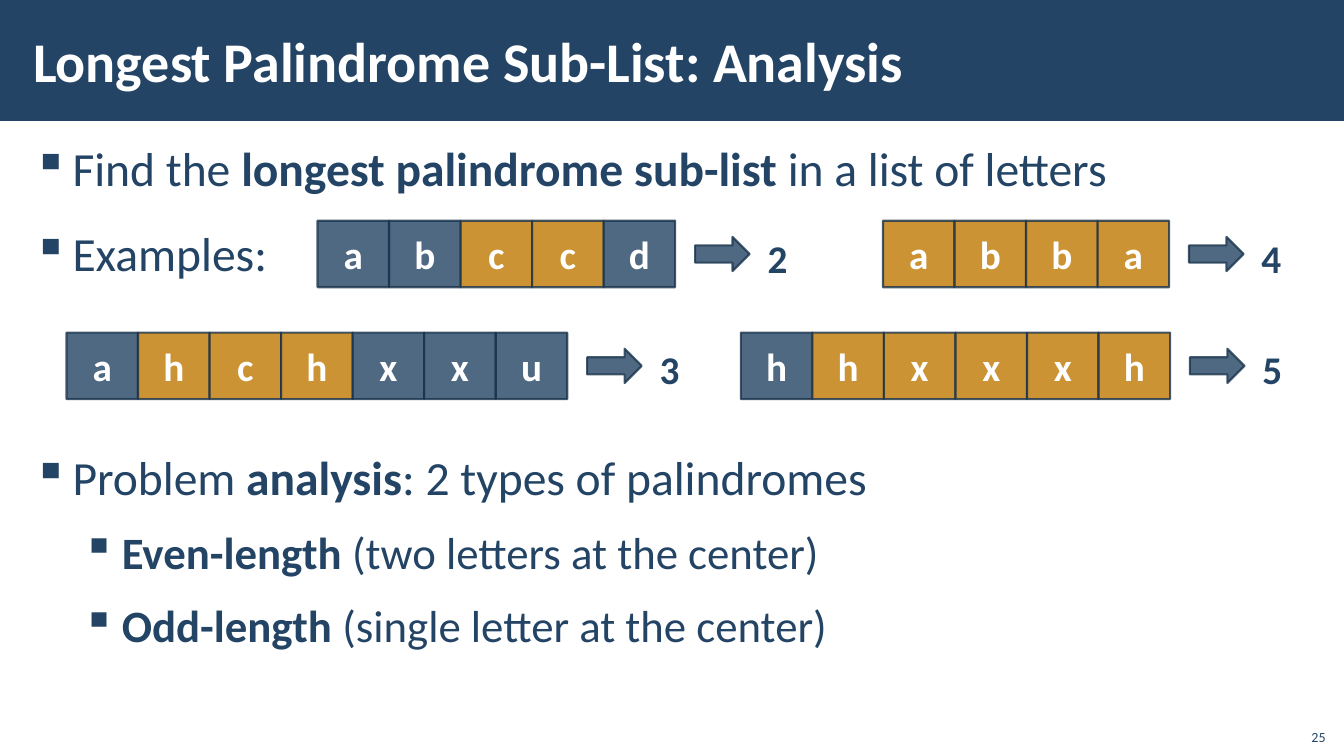
"""Build the slide on analysing the longest palindrome sub-list."""
from lxml import etree
from pptx import Presentation
from pptx import util as u
from pptx.dml import color
from pptx.enum import shapes, text
from pptx.oxml import ns

Pt = u.Pt
COLORS = {"navy": "234465", "edge": "1A334C", "gold": "BF7800", "white": "FFFFFF"}
FONT = "Calibri"
TITLE = "Longest Palindrome Sub-List: Analysis"
PAGE = "25"
# Bullets: level, size, space before, (text, bold) runs
BULLETS = [
    (0, 34, 6, [("Find the ", False), ("longest palindrome sub-list", True),
                (" in a list of letters", False)]),
    (0, 34, 12, [("Examples:", False)]),
    (0, 34, 111, [("Problem ", False), ("analysis", True),
                  (": 2 types of palindromes", False)]),
    (1, 32, 6, [("Even-length", True), (" (two letters at the center)", False)]),
    (1, 32, 6, [("Odd-length", True), (" (single letter at the center)", False)]),
]
# Examples: left, row, letters, palindrome start, palindrome length
EXAMPLES = [
    (226.8, 0, "abccd", 2, 2),
    (47.5, 1, "ahchxxu", 1, 3),
    (529.2, 1, "hhxxxh", 1, 5),
    (630.7, 0, "abba", 0, 4),
]
ROW_TOP, ROW_STEP = 157.7, 79.9
CELL_W, CELL_H = 51.1, 47.5
ARROW_W, ARROW_H, ARROW_GAP = 39, 24.5, 14.2
RESULT_W, RESULT_H, RESULT_GAP = 37.4, 52.6, 1.2
TOP, MIDDLE, BOTTOM = (text.MSO_ANCHOR.TOP, text.MSO_ANCHOR.MIDDLE,
                       text.MSO_ANCHOR.BOTTOM)


def rgb(name):
    return color.RGBColor.from_string(COLORS[name])


def set_all(obj, values):
    for key, value in values.items():
        setattr(obj, key, value)


def frame(sp, anchor, mx, my, wrap=True):
    tf = sp.text_frame
    set_all(tf, {"vertical_anchor": anchor, "word_wrap": wrap,
                 "auto_size": text.MSO_AUTO_SIZE.NONE,
                 "margin_left": Pt(mx), "margin_right": Pt(mx),
                 "margin_top": Pt(my), "margin_bottom": Pt(my)})
    return tf


def add_run(p, words, size, ink, bold=True):
    r = p.add_run()
    r.text = words
    set_all(r.font, {"name": FONT, "size": Pt(size), "bold": bold})
    r.font.color.rgb = rgb(ink)


def add_line(tf, words, size, ink, align, bold=True, spacing=None):
    p = tf.paragraphs[0]
    set_all(p, {"alignment": align, "line_spacing": spacing})
    add_run(p, words, size, ink, bold)


def add_box(parent, kind, box, fill):
    sp = parent.add_shape(kind, *map(Pt, box))
    sp.shadow.inherit = False
    sp.fill.solid()
    sp.fill.fore_color.rgb = rgb(fill)
    return sp


def add_glass(parent, kind, box, fill):
    sp = add_box(parent, kind, box, fill)
    sp.line.color.rgb = rgb("edge")
    sp.line.width = Pt(1.5)
    for clr in sp._element.spPr.iter(ns.qn("a:srgbClr")):
        etree.SubElement(clr, ns.qn("a:alpha"), val="80000")
    return sp


def add_title(s):
    banner = add_box(s.shapes, shapes.MSO_SHAPE.RECTANGLE, (0, 0, 960, 86.4), "navy")
    banner.line.fill.background()
    sp = s.shapes.title
    sp._element.addprevious(banner._element)
    set_all(sp, {"left": Pt(15.1), "top": Pt(7.9), "width": Pt(765.4), "height": Pt(69.8)})
    add_line(frame(sp, MIDDLE, 8.6, 2.9), TITLE, 40, "white", text.PP_ALIGN.LEFT)


def add_bullets(s):
    sp = s.shapes.add_textbox(*map(Pt, (15.1, 94.3, 930.2, 435.6)))
    tf = frame(sp, TOP, 8.6, 2.9)
    for i, (level, size, before, runs) in enumerate(BULLETS):
        p = tf.add_paragraph() if i else tf.paragraphs[0]
        set_all(p, {"level": level, "line_spacing": 1.05,
                    "space_before": Pt(before), "space_after": Pt(6)})
        pPr = p._p.get_or_add_pPr()
        pPr.set("marL", str(Pt(28.1 + 35.2 * level)))
        pPr.set("indent", str(-Pt(28.1)))
        etree.SubElement(pPr, ns.qn("a:buChar"), char="▪")
        for words, bold in runs:
            add_run(p, words, size, "navy", bold)


def add_example(s, left, row, letters, start, length):
    group = s.shapes.add_group_shape().shapes
    top = ROW_TOP + row * ROW_STEP
    middle = top + CELL_H / 2
    for i, letter in enumerate(letters):
        fill = "gold" if start <= i < start + length else "navy"
        sp = add_glass(group, shapes.MSO_SHAPE.RECTANGLE,
                       (left + i * CELL_W, top, CELL_W, CELL_H), fill)
        add_line(frame(sp, MIDDLE, 7.2, 3.6), letter, 28, "white", text.PP_ALIGN.CENTER)
    x = left + len(letters) * CELL_W + ARROW_GAP
    add_glass(group, shapes.MSO_SHAPE.RIGHT_ARROW,
              (x, middle - ARROW_H / 2, ARROW_W, ARROW_H), "navy")
    x += ARROW_W + RESULT_GAP
    sp = group.add_textbox(*map(Pt, (x, middle - RESULT_H / 2, RESULT_W, RESULT_H)))
    add_line(frame(sp, TOP, 11.5, 8.6, False), str(length), 28, "navy",
             text.PP_ALIGN.LEFT, spacing=1.1)


def main():
    prs = Presentation()
    prs.slide_width, prs.slide_height = Pt(960), Pt(540)
    s = prs.slides.add_slide(prs.slide_layouts[5])
    add_title(s)
    sp = s.shapes.add_textbox(*map(Pt, (925.2, 512.6, 28.8, 23)))
    add_line(frame(sp, BOTTOM, 7.2, 3.6, False), PAGE, 10, "navy",
             text.PP_ALIGN.RIGHT, bold=False)
    add_bullets(s)
    for example in EXAMPLES:
        add_example(s, *example)
    prs.save("out.pptx")


if __name__ == "__main__":
    main()
